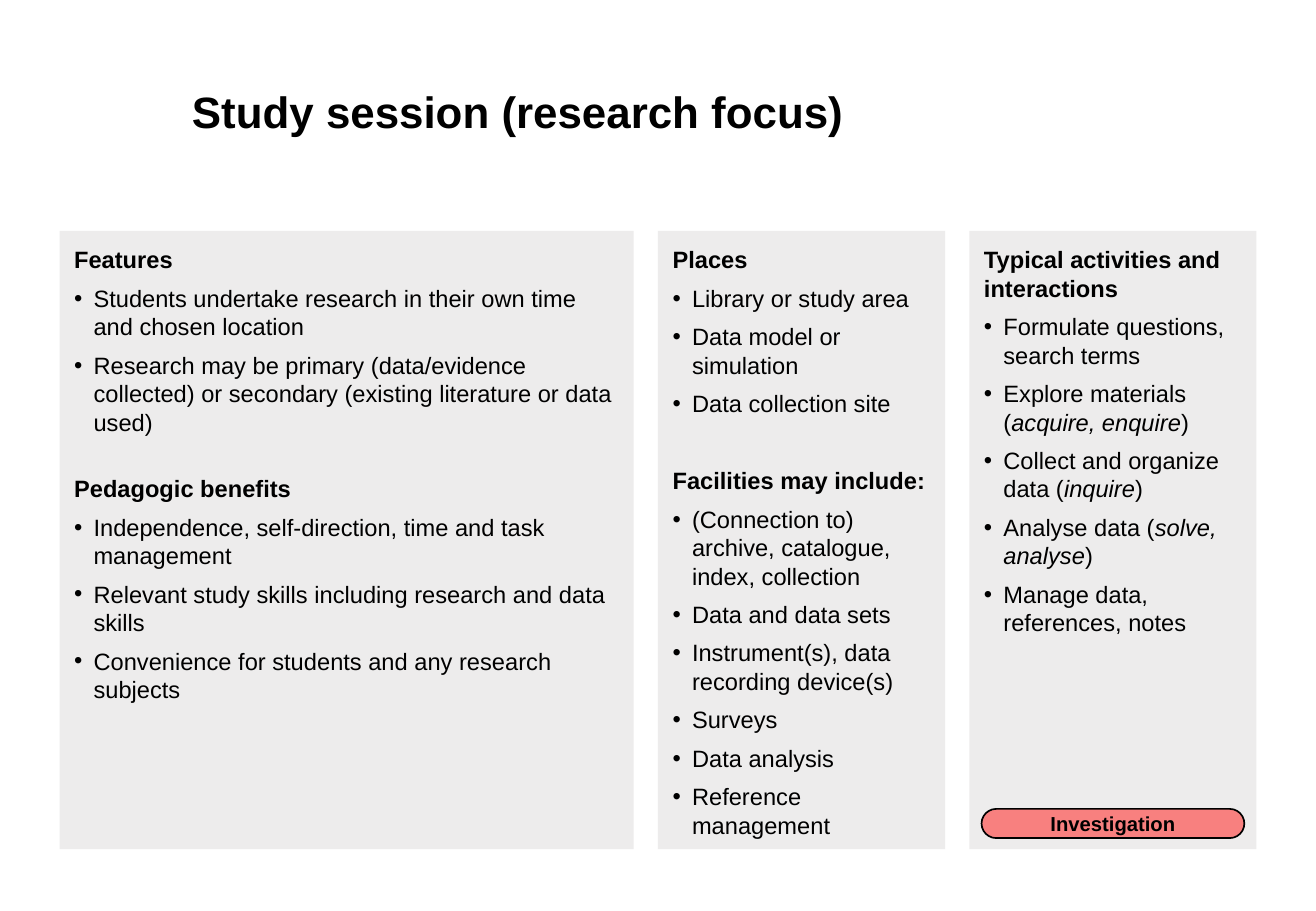
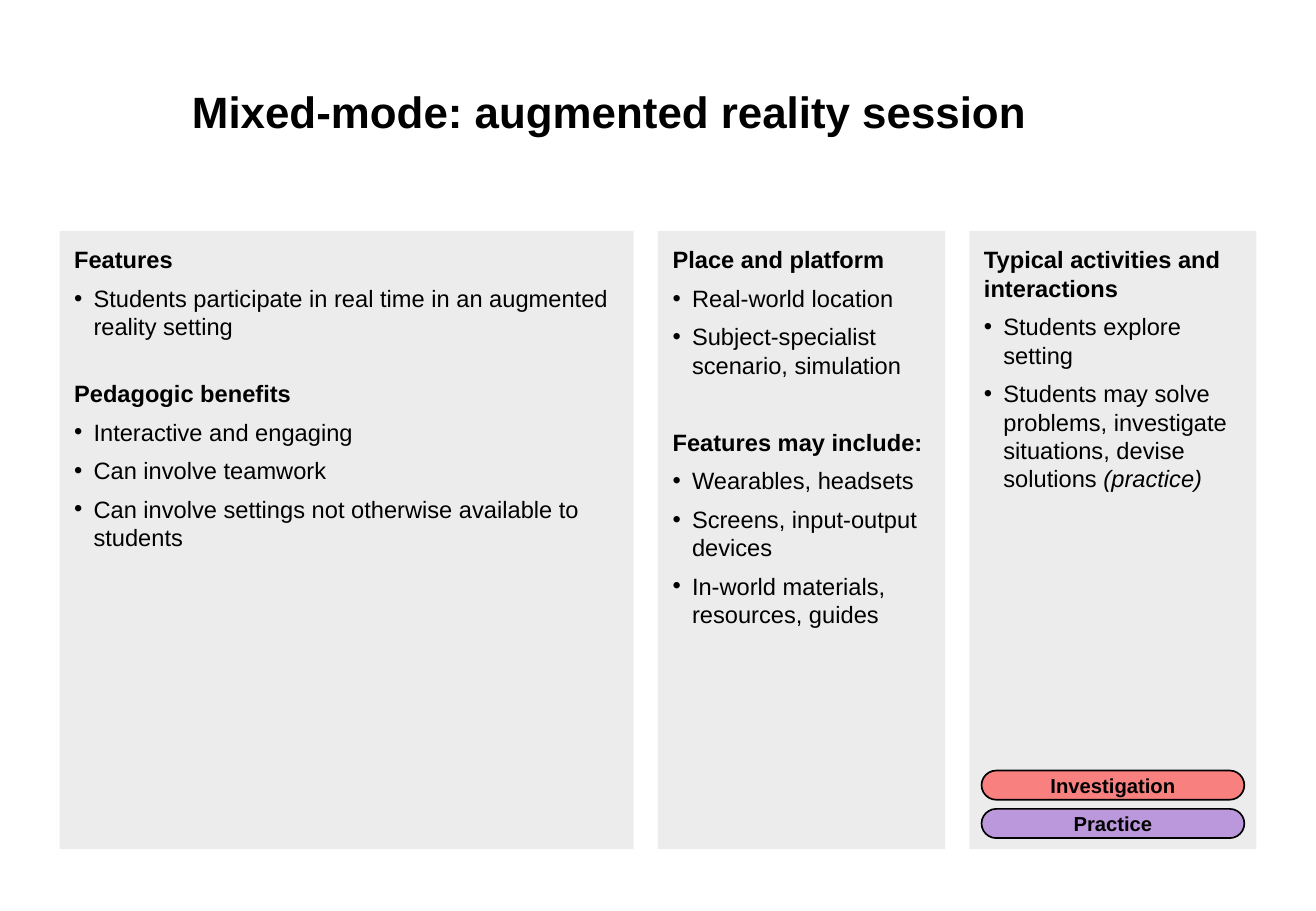
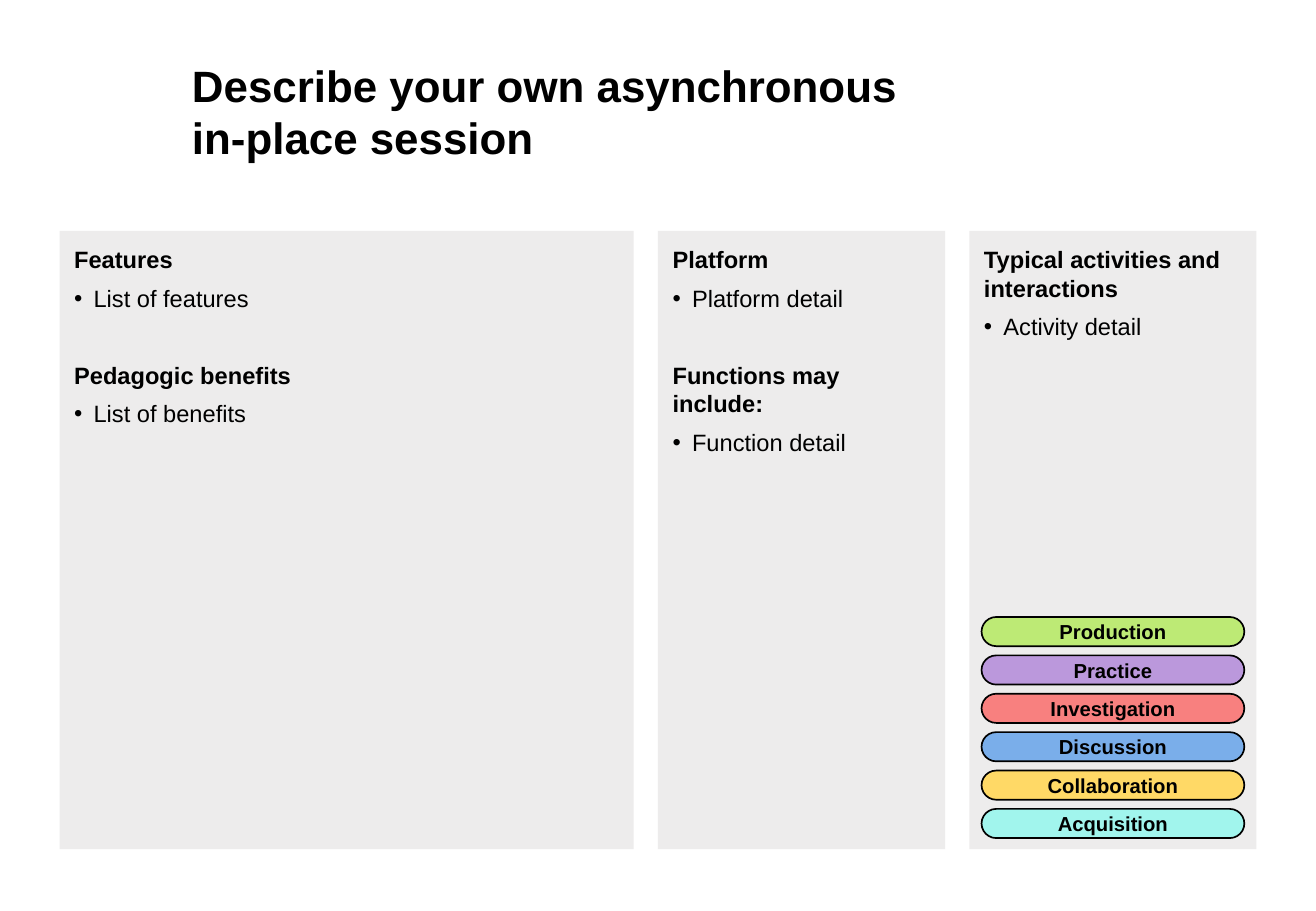
from dataclasses import dataclass

from lxml.etree import SubElement
from pptx import Presentation
from pptx.dml.color import RGBColor
from pptx.enum.shapes import MSO_SHAPE as Shape
from pptx.enum.text import MSO_ANCHOR as Anchor, PP_ALIGN as Align
from pptx.oxml.ns import qn
from pptx.util import Inches, Pt


@dataclass(frozen=True)
class Theme:
    font: str = "Arial"
    ink: str = "000000"
    panel: str = "EDECEC"
    title: int = 26
    body: int = 14
    tag: int = 12
    lead: float = 16.8
    before: int = 6


T = Theme()
TAGS = {
    "Production": "BDEA75",
    "Practice": "BB98DC",
    "Investigation": "F8807F",
    "Discussion": "7AAEEA",
    "Collaboration": "FFD966",
    "Acquisition": "A1F5ED",
}
TIGHT = T.lead + T.before
LOOSE = TIGHT + T.before
ACTS = "Typical activities and interactions"
DECK = [
    {
        "title": "Study session (research focus)",
        "width": 7.09,
        "panels": [
            (TIGHT, [
                ("Features", [
                    "Students undertake research in their own time and chosen location",
                    "Research may be primary (data/evidence collected) or secondary "
                    "(existing literature or data used)",
                ]),
                ("Pedagogic benefits", [
                    "Independence, self-direction, time and task management",
                    "Relevant study skills including research and data skills",
                    "Convenience for students and any research subjects",
                ]),
            ]),
            (LOOSE, [
                ("Places", [
                    "Library or study area",
                    "Data model or simulation",
                    "Data collection site",
                ]),
                ("Facilities may include:", [
                    "(Connection to) archive, catalogue, index, collection",
                    "Data and data sets",
                    "Instrument(s), data recording device(s)",
                    "Surveys",
                    "Data analysis",
                    "Reference management",
                ]),
            ]),
            (LOOSE, [
                (ACTS, [
                    "Formulate questions, search terms",
                    "Explore materials (*acquire, enquire*)",
                    "Collect and organize data (*inquire*)",
                    "Analyse data (*solve, analyse*)",
                    "Manage data, references, notes",
                ]),
            ]),
        ],
        "tags": ["Investigation"],
    },
    {
        "title": "Mixed-mode: augmented reality session",
        "width": 7.89,
        "panels": [
            (TIGHT, [
                ("Features", [
                    "Students participate in real time in an augmented reality setting",
                ]),
                ("Pedagogic benefits", [
                    "Interactive and engaging",
                    "Can involve teamwork",
                    "Can involve settings not otherwise available to students",
                ]),
            ]),
            (LOOSE, [
                ("Place and platform", [
                    "Real-world location",
                    "Subject-specialist scenario, simulation",
                ]),
                ("Features may include:", [
                    "Wearables, headsets",
                    "Screens, input-output devices",
                    "In-world materials, resources, guides",
                ]),
            ]),
            (LOOSE, [
                (ACTS, [
                    "Students explore setting",
                    "Students may solve problems, investigate situations, "
                    "devise solutions* (practice)*",
                ]),
            ]),
        ],
        "tags": ["Investigation", "Practice"],
    },
    {
        "title": "Describe your own asynchronous in-place session",
        "width": 6.32,
        "panels": [
            (LOOSE, [
                ("Features", ["List of features"]),
                ("Pedagogic benefits", ["List of benefits"]),
            ]),
            (LOOSE, [
                ("Platform", ["Platform detail"]),
                ("Functions may include:", ["Function detail"]),
            ]),
            (LOOSE, [(ACTS, ["Activity detail"])]),
        ],
        "tags": list(TAGS),
    },
]

WIDE, HIGH = 10.83, 7.5
EDGE, GAP = 0.49, 0.2
SPANS = (2, 1, 1)
UNIT = (WIDE - 2 * EDGE - 2 * GAP) / sum(SPANS)
TOP, TALL = 1.9, 5.09
PAD, DENT = 0.12, 0.16
INSET, TAGH, STEP = 0.1, 0.24, 0.316


def color(code):
    return RGBColor.from_string(code)


def style(par, size, bold=False):
    for run in par.runs:
        font = run.font
        font.name, font.size, font.bold = T.font, Pt(size), bold
        font.color.rgb = color(T.ink)


def inset(frame, left, top, right, low):
    frame.word_wrap = True
    frame.margin_left, frame.margin_top = Inches(left), Inches(top)
    frame.margin_right, frame.margin_bottom = Inches(right), Inches(low)


def block(slide, kind, box, fill):
    shape = slide.shapes.add_shape(kind, *map(Inches, box))
    shape.shadow.inherit = False
    shape.fill.solid()
    shape.fill.fore_color.rgb = color(fill)
    shape.line.fill.background()
    return shape


def bullet(par):
    props = par._p.get_or_add_pPr()
    props.set("marL", str(Inches(DENT)))
    props.set("indent", str(-Inches(DENT)))
    SubElement(props, qn("a:buFont")).set("typeface", T.font)
    SubElement(props, qn("a:buChar")).set("char", "•")


def title(slide, text, width):
    box = slide.shapes.add_textbox(*map(Inches, (1.28, 0.52, width, 0.79)))
    frame = box.text_frame
    inset(frame, 0.3, 0, 0, 0)
    frame.vertical_anchor = Anchor.MIDDLE
    frame.text = text
    par = frame.paragraphs[0]
    par.line_spacing = Pt(31)
    style(par, T.title, True)


def panel(slide, left, width, gap, parts):
    shape = block(slide, Shape.RECTANGLE, (left, TOP, width, TALL), T.panel)
    frame = shape.text_frame
    inset(frame, PAD, PAD, PAD, PAD)
    frame.vertical_anchor = Anchor.TOP
    rows = [(text, not n, gap if k and not n else T.before)
            for k, (head, items) in enumerate(parts)
            for n, text in enumerate([head, *items])]
    for n, (text, head, before) in enumerate(rows):
        par = frame.add_paragraph() if n else frame.paragraphs[0]
        par.alignment = Align.LEFT
        par.line_spacing, par.space_before = Pt(T.lead), Pt(before)
        for k, piece in enumerate(text.split("*")):
            if piece:
                run = par.add_run()
                run.text, run.font.italic = piece, k % 2 == 1
        style(par, T.body, head)
        if not head:
            bullet(par)


def tag(slide, name, row):
    left = WIDE - EDGE - UNIT + INSET
    top = TOP + TALL - 0.09 - TAGH - row * STEP
    box = (left, top, UNIT - 2 * INSET, TAGH)
    shape = block(slide, Shape.ROUNDED_RECTANGLE, box, TAGS[name])
    shape.adjustments[0] = 0.5
    shape.line.color.rgb = color(T.ink)
    shape.line.width = Pt(1)
    frame = shape.text_frame
    inset(frame, 0.2, 0.05, 0.2, 0.05)
    frame.vertical_anchor = Anchor.MIDDLE
    frame.text = name
    par = frame.paragraphs[0]
    par.alignment = Align.CENTER
    style(par, T.tag, True)


def main():
    """Build the session cards."""
    deck = Presentation()
    deck.slide_width, deck.slide_height = Inches(WIDE), Inches(HIGH)
    for card in DECK:
        slide = deck.slides.add_slide(deck.slide_layouts[6])
        title(slide, card["title"], card["width"])
        left = EDGE
        for span, (gap, parts) in zip(SPANS, card["panels"]):
            panel(slide, left, span * UNIT, gap, parts)
            left += span * UNIT + GAP
        for row, name in enumerate(reversed(card["tags"])):
            tag(slide, name, row)
    deck.save("out.pptx")


if __name__ == "__main__":
    main()
